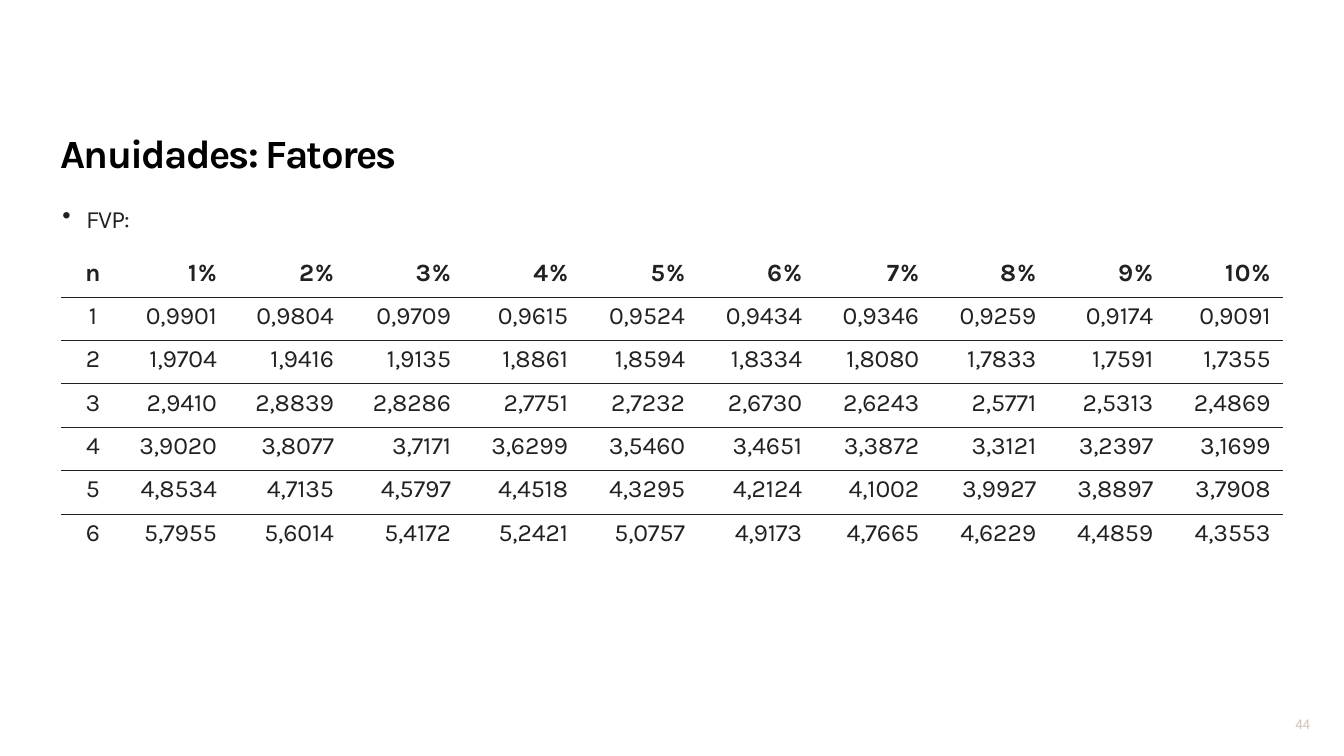
from lxml import etree
from pptx import Presentation, util as u
from pptx.dml.color import RGBColor
from pptx.enum import text
from pptx.oxml import ns

# Theme: colours, type sizes (pt) and letter spacing (hundredths of a point)
THEME = {
    "title": dict(name="Karla", size=31.5, bold=True, color="000000", track=-130),
    "point": dict(name="Karla", size=19.5, bold=False, color="212121", track=-70),
    "page": dict(name="Roboto", size=10.5, bold=False, color="D1C6B6", track=-20),
    "term": dict(name="Karla", size=19.5, bold=False, color="212121", track=-50),
    "value": dict(name="Karla", size=19.5, bold=False, color="212121", track=-10),
    "head": dict(name="Karla", size=19.5, bold=True, color="212121", track=70),
    "rule": dict(color="212121", width=0.5),
}

FACTORS = """
n 1% 2% 3% 4% 5% 6% 7% 8% 9% 10%
1 0,9901 0,9804 0,9709 0,9615 0,9524 0,9434 0,9346 0,9259 0,9174 0,9091
2 1,9704 1,9416 1,9135 1,8861 1,8594 1,8334 1,8080 1,7833 1,7591 1,7355
3 2,9410 2,8839 2,8286 2,7751 2,7232 2,6730 2,6243 2,5771 2,5313 2,4869
4 3,9020 3,8077 3,7171 3,6299 3,5460 3,4651 3,3872 3,3121 3,2397 3,1699
5 4,8534 4,7135 4,5797 4,4518 4,3295 4,2124 4,1002 3,9927 3,8897 3,7908
6 5,7955 5,6014 5,4172 5,2421 5,0757 4,9173 4,7665 4,6229 4,4859 4,3553
"""
grid = [line.split() for line in FACTORS.strip().splitlines()]


def write(frame, words, look):
    """Put styled words in the first paragraph of a frame."""
    style = THEME[look]
    para = frame.paragraphs[0]
    run = para.add_run()
    run.text = words
    for key in ("name", "bold"):
        setattr(run.font, key, style[key])
    run.font.size = u.Pt(style["size"])
    run.font.color.rgb = RGBColor.from_string(style["color"])
    run._r.get_or_add_rPr().set("spc", str(style["track"]))
    return para


def edge(cell, sides):
    """Draw the named sides of a cell and clear the others."""
    props = cell._tc.get_or_add_tcPr()
    for spot, side in enumerate("LRTB"):
        line = etree.Element(ns.qn("a:ln" + side))
        if side in sides:
            line.set("w", str(u.Pt(THEME["rule"]["width"])))
            fill = etree.SubElement(line, ns.qn("a:solidFill"))
            etree.SubElement(fill, ns.qn("a:srgbClr"), val=THEME["rule"]["color"])
        else:
            etree.SubElement(line, ns.qn("a:noFill"))
        props.insert(spot, line)


deck = Presentation()
deck.slide_width, deck.slide_height = u.Inches(14.67), u.Inches(8.25)
slide = deck.slides.add_slide(deck.slide_layouts[6])

# Title, bullet point and page number
boxes = {
    "title": ("Anuidades: Fatores", 0.66, 1.4, 9.35, 0.57),
    "point": ("FVP:", 0.66, 2.22, 0.8, 0.36),
    "page": ("44", 14.14, 7.81, 0.26, 0.19),
}
paras = {}
for look, (words, *place) in boxes.items():
    frame = slide.shapes.add_textbox(*map(u.Inches, place)).text_frame
    for side in ("left", "right", "top", "bottom"):
        setattr(frame, "margin_" + side, 0)
    frame.word_wrap = True
    paras[look] = write(frame, words, look)

point = paras["point"]._p.get_or_add_pPr()
point.set("marL", str(u.Inches(0.28)))
point.set("indent", str(u.Inches(-0.26)))
etree.SubElement(point, ns.qn("a:buChar"), char="•")

# Table size: narrow first column, equal middle columns, shorter last one
LEFT, TOP, WIDTH, HEIGHT = 0.67, 2.82, 13.34, 3.2
FIRST, LAST = 0.69, 1.15
HEAD, FOOT = 0.42, 0.41
rows, cols = len(grid), len(grid[0])
table = slide.shapes.add_table(
    rows, cols, *map(u.Inches, (LEFT, TOP, WIDTH, HEIGHT))).table
table.first_row = table.horz_banding = False

mid = (WIDTH - FIRST - LAST) / (cols - 2)
for col, wide in zip(table.columns, [FIRST] + [mid] * (cols - 2) + [LAST]):
    col.width = u.Inches(wide)
step = (HEIGHT - HEAD - FOOT) / (rows - 2)
for row, high in zip(table.rows, [HEAD] + [step] * (rows - 2) + [FOOT]):
    row.height = u.Inches(high)

# Table cells, with rules between the rows only
for r, line in enumerate(grid):
    for c, words in enumerate(line):
        cell = table.cell(r, c)
        inset = 0 if c == 0 else 0.14 if c == cols - 1 else 0.27
        form = {
            "margin_left": 0,
            "margin_right": u.Inches(inset),
            "margin_top": u.Inches(0.05 if r else 0),
            "margin_bottom": 0,
            "vertical_anchor": text.MSO_ANCHOR.TOP,
        }
        for key, value in form.items():
            setattr(cell, key, value)
        cell.fill.background()
        edge(cell, ("T" if r else "") + ("B" if r < rows - 1 else ""))
        look = "head" if r == 0 else "value" if c else "term"
        para = write(cell.text_frame, words, look)
        para.alignment = text.PP_ALIGN.RIGHT if c else text.PP_ALIGN.CENTER
        if r == 0:
            para.line_spacing = u.Pt(22.9)

deck.save("out.pptx")
